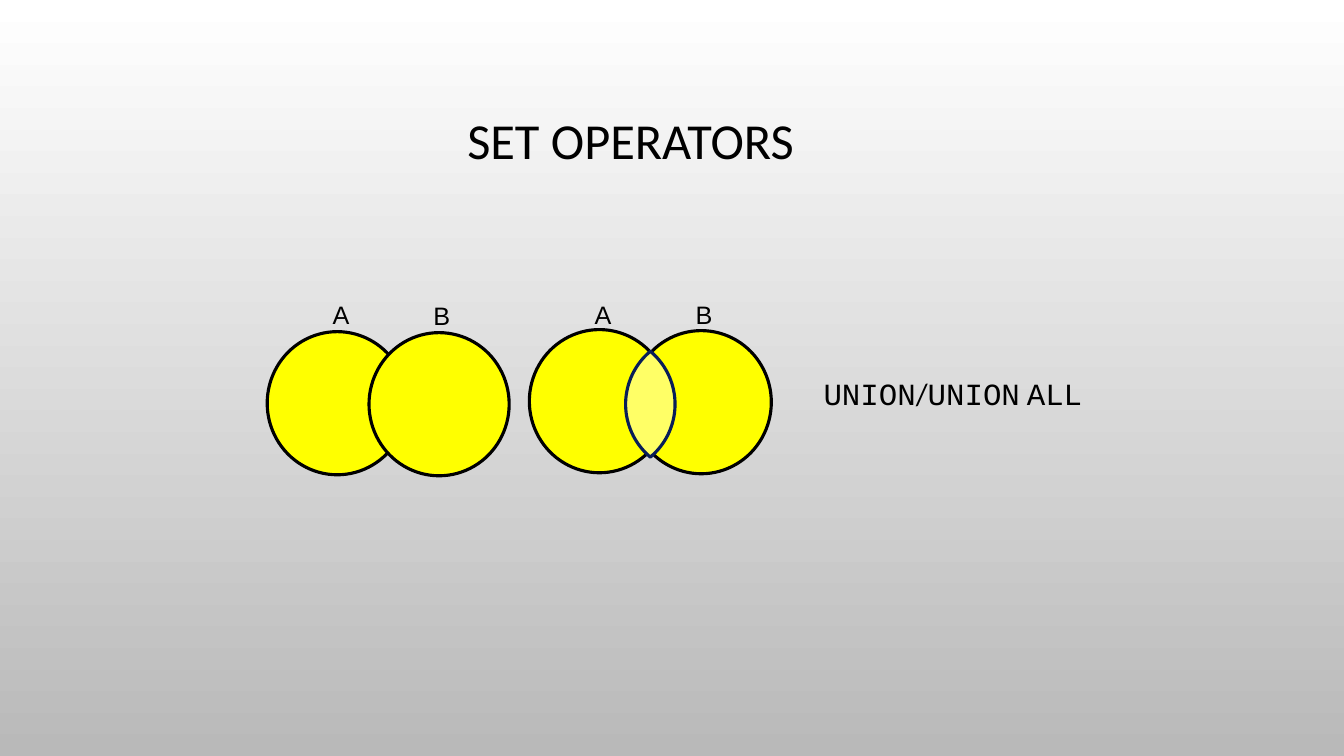
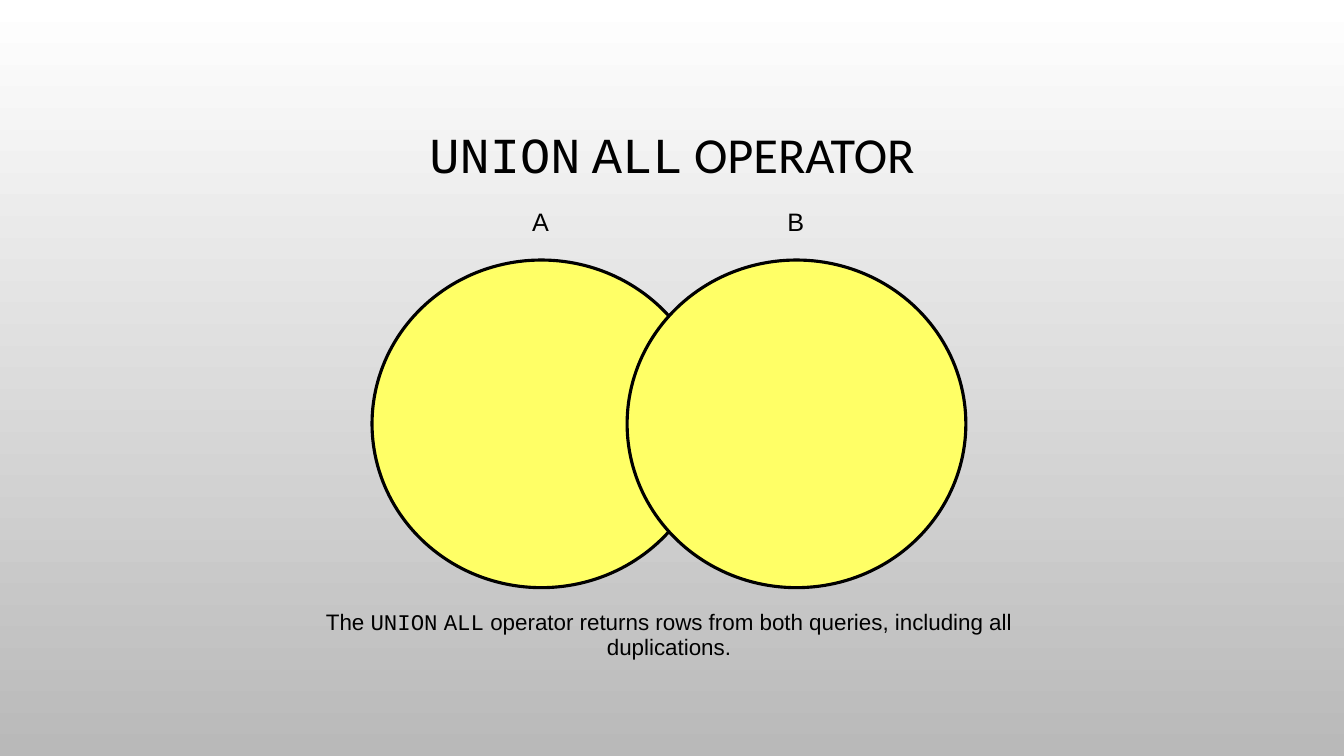
import math

from pptx import Presentation
from pptx import util as u
from pptx.dml.color import RGBColor
from pptx.enum import shapes, text

# Shared look
BLACK = RGBColor(0x00, 0x00, 0x00)
WHITE = RGBColor(0xFF, 0xFF, 0xFF)
GREY = RGBColor(0xB9, 0xB9, 0xB9)
YELLOW = RGBColor(0xFF, 0xFF, 0x00)
PALE_YELLOW = RGBColor(0xFF, 0xFF, 0x66)
NAVY = RGBColor(0x08, 0x1D, 0x58)
BODY, HEADING, CODE = "Arial", "Calibri", "Courier New"
OUTLINE = u.Pt(2.25)


def set_background(master):
    """Grey gradient from top to bottom, inherited by every slide."""
    fill = master.background.fill
    fill.gradient()
    fill.gradient_angle = 270
    for stop, color in zip(fill.gradient_stops, (WHITE, GREY)):
        stop.color.rgb = color


def add_text(slide, box, runs, size, align=text.PP_ALIGN.LEFT, spacing=1.0,
             anchor=text.MSO_ANCHOR.TOP, wrap=True, grow=True):
    """Text box with one paragraph; runs are (words, font) pairs."""
    frame = slide.shapes.add_textbox(*map(u.Inches, box)).text_frame
    frame.word_wrap = wrap
    frame.auto_size = (text.MSO_AUTO_SIZE.SHAPE_TO_FIT_TEXT if grow
                       else text.MSO_AUTO_SIZE.NONE)
    frame.vertical_anchor = anchor
    paragraph = frame.paragraphs[0]
    paragraph.alignment = align
    paragraph.line_spacing = spacing
    for words, font in runs:
        run = paragraph.add_run()
        run.text = words
        run.font.name = font
        run.font.size = u.Pt(size)
        run.font.color.rgb = BLACK


def add_title(slide, left, top, runs):
    add_text(slide, (left, top, 11.33, 1.75), runs, 36, text.PP_ALIGN.CENTER,
             0.9, text.MSO_ANCHOR.MIDDLE, grow=False)


def add_label(slide, left, top, letter):
    add_text(slide, (left, top, 0.38, 0.4), [(letter, BODY)], 18, wrap=False)


def union_all(space_font):
    """UNION ALL in code type, its space set in the surrounding font."""
    return [("UNION", CODE), (" ", space_font), ("ALL", CODE)]


def style(shape, fill, line):
    shape.shadow.inherit = False
    shape.fill.solid()
    shape.fill.fore_color.rgb = fill
    shape.line.color.rgb = line
    shape.line.width = OUTLINE


def add_circles(parent, left, top, width, height, step, drop, fill):
    """Two overlapping sets, the second moved by step and drop."""
    for i in range(2):
        box = (left + i * step, top + i * drop, width, height)
        circle = parent.add_shape(shapes.MSO_SHAPE.OVAL, *map(u.Inches, box))
        style(circle, fill, BLACK)


def add_overlap(parent, center_x, center_y, half_width, half_height):
    """Lens made of two circular arcs that meet at top and bottom."""
    radius = (half_width ** 2 + half_height ** 2) / (2 * half_width)
    reach = math.asin(half_height / radius)
    offset = radius - half_width
    steps = 40
    points = []
    for side in (1, -1):
        for i in range(steps):
            angle = side * reach * (2 * i / steps - 1)
            x = center_x + side * (radius * math.cos(angle) - offset)
            y = center_y + radius * math.sin(angle)
            points.append((u.Inches(x), u.Inches(y)))
    builder = parent.build_freeform(*points[0])
    builder.add_line_segments(points[1:], close=True)
    style(builder.convert_to_shape(), PALE_YELLOW, NAVY)


def build_set_operators(slide):
    add_title(slide, 0.59, 0.55, [("SET OPERATORS", HEADING)])
    add_text(slide, (8.07, 3.67, 3.7, 0.47),
             [("UNION", CODE), ("/", HEADING)] + union_all(HEADING), 22)

    # Union on the left, union all with its overlap on the right
    for left, top in ((2.65, 3.29), (5.25, 3.27)):
        pair = slide.shapes.add_group_shape().shapes
        add_circles(pair, left, top, 1.39, 1.42, 1.01, 0.01, YELLOW)
    add_overlap(pair, 6.45, 4.01, 0.245, 0.525)

    for left, top, letter in ((3.2, 2.92, "A"), (4.2, 2.93, "B"),
                              (5.8, 2.92, "A"), (6.8, 2.92, "B")):
        add_label(slide, left, top, letter)


def build_union_all(slide):
    add_title(slide, 1, 0.68, union_all(HEADING) + [(" OPERATOR", HEADING)])
    explanation = [("The ", BODY)] + union_all(BODY) + [
        (" operator returns rows from both queries, "
         "including all duplications.", BODY)]
    add_text(slide, (2.66, 6, 7.95, 0.61), explanation, 16,
             text.PP_ALIGN.CENTER, 0.95)

    # Both sets with their letters above
    step = 2.53
    add_circles(slide.shapes, 3.69, 2.58, 3.36, 3.25, step, 0, PALE_YELLOW)
    for i, letter in enumerate("AB"):
        add_label(slide, 5.18 + i * step, 2, letter)


def main():
    deck = Presentation()
    deck.slide_width, deck.slide_height = u.Inches(13.33), u.Inches(7.5)
    set_background(deck.slide_master)
    blank = deck.slide_layouts[6]
    for build in (build_set_operators, build_union_all):
        build(deck.slides.add_slide(blank))
    deck.save("out.pptx")


main()
